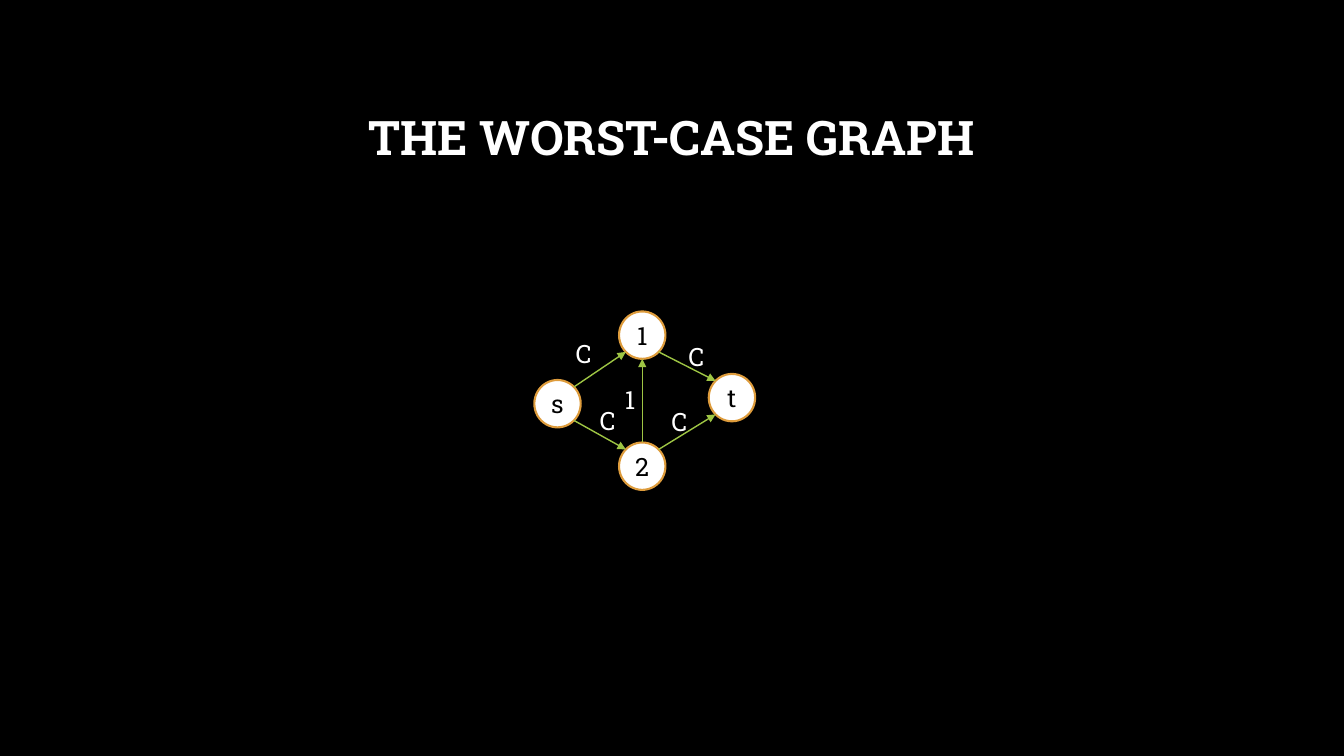
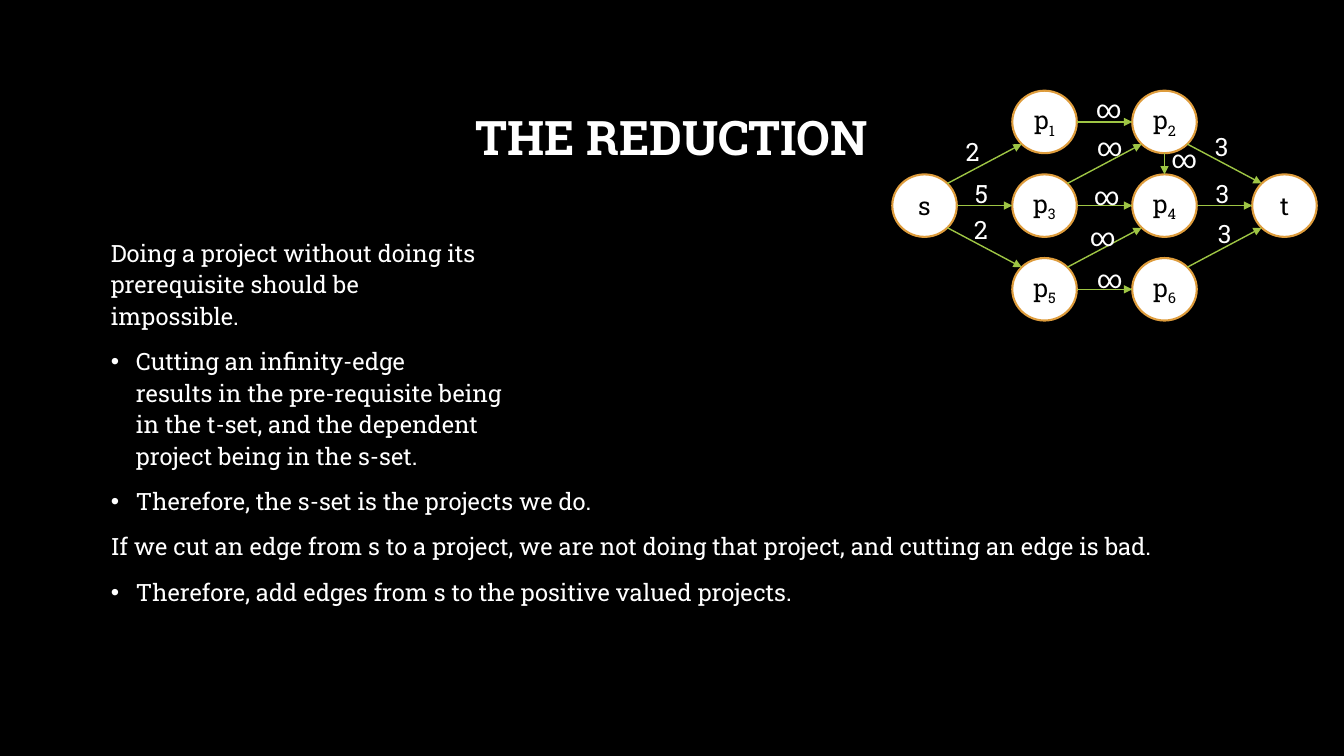
import math

from lxml import etree
from pptx import Presentation
from pptx import util as u
from pptx.dml.color import RGBColor
from pptx.enum import shapes, text
from pptx.oxml.ns import qn

EXITS = {(0, -1): 0, (1, 1): 5, (0, 1): 4, (1, 0): 6, (1, -1): 7}


def rgb(value):
    return RGBColor.from_string(value)


def sign(value):
    return (value > 0) - (value < 0)


class Deck:
    FONT = "Roboto Slab"
    BACK, LIGHT, DARK = "000000", "FFFFFF", "000000"
    RING, EDGE = "DE9C3C", "9EC544"

    def __init__(self):
        self.prs = Presentation()
        self.prs.slide_width = u.Inches(13.33)
        self.prs.slide_height = u.Inches(7.5)
        fill = self.prs.slide_master.background.fill
        fill.solid()
        fill.fore_color.rgb = rgb(self.BACK)

    def style(self, p, size, color, bold=False):
        for r in p.runs:
            r.font.name = self.FONT
            r.font.size = u.Pt(size)
            r.font.bold = bold
            r.font.color.rgb = rgb(color)

    def slide(self, title):
        self.s = self.prs.slides.add_slide(self.prs.slide_layouts[5])
        sp = self.s.shapes.title
        sp.left, sp.top = u.Inches(1), u.Inches(0.66)
        sp.width, sp.height = u.Inches(11.32), u.Inches(1.45)
        tf = sp.text_frame
        tf.text = title
        tf.vertical_anchor = text.MSO_ANCHOR.MIDDLE
        p = tf.paragraphs[0]
        p.alignment = text.PP_ALIGN.CENTER
        p.line_spacing = 0.9
        self.style(p, 34, self.LIGHT, bold=True)

    def body(self, items):
        sp = self.s.shapes.add_textbox(
            u.Inches(1), u.Inches(2.29), u.Inches(11.32), u.Inches(4.04))
        tf = sp.text_frame
        tf.word_wrap = True
        for i, (bullet, words) in enumerate(items):
            p = tf.add_paragraph() if i else tf.paragraphs[0]
            p.text = words
            p.line_spacing = 1.1
            p.space_before = u.Pt(10)
            self.style(p, 17, self.LIGHT)
            if bullet:
                pPr = p._p.get_or_add_pPr()
                pPr.set("marL", str(u.Inches(0.25)))
                pPr.set("indent", str(-u.Inches(0.25)))
                etree.SubElement(pPr, qn("a:buFont")).set("typeface", "Arial")
                etree.SubElement(pPr, qn("a:buChar")).set("char", "•")

    def node(self, name, x, y, w, h):
        sp = self.s.shapes.add_shape(
            shapes.MSO_SHAPE.OVAL, u.Inches(x), u.Inches(y), u.Inches(w), u.Inches(h))
        sp.shadow.inherit = False
        sp.fill.solid()
        sp.fill.fore_color.rgb = rgb(self.LIGHT)
        sp.line.color.rgb = rgb(self.RING)
        sp.line.width = u.Pt(1.5)
        tf = sp.text_frame
        tf.word_wrap = False
        tf.margin_left = tf.margin_right = tf.margin_top = tf.margin_bottom = 0
        tf.vertical_anchor = text.MSO_ANCHOR.MIDDLE
        p = tf.paragraphs[0]
        p.alignment = text.PP_ALIGN.CENTER
        for i, letter in enumerate(name):
            r = p.add_run()
            r.text = letter
            if i:
                r._r.get_or_add_rPr().set("baseline", "-25000")
        self.style(p, 18, self.DARK)
        return sp

    def site(self, sp, index):
        angle = math.radians(90 + 45 * index)
        return (round(sp.left + sp.width / 2 * (1 + math.cos(angle))),
                round(sp.top + sp.height / 2 * (1 - math.sin(angle))))

    def edge(self, start, end):
        leave = EXITS[sign(end.left - start.left), sign(end.top - start.top)]
        enter = (leave + 4) % 8
        line = self.s.shapes.add_connector(
            shapes.MSO_CONNECTOR.STRAIGHT, *self.site(start, leave), *self.site(end, enter))
        line.line.color.rgb = rgb(self.EDGE)
        line.line.width = u.Pt(1)
        spPr = line._element.spPr
        etree.SubElement(spPr.find(qn("a:ln")), qn("a:tailEnd")).set("type", "triangle")
        etree.SubElement(spPr, qn("a:effectLst"))
        joints = line._element.find(".//" + qn("p:cNvCxnSpPr"))
        for tag, sp, index in (("a:stCxn", start, leave), ("a:endCxn", end, enter)):
            joint = etree.SubElement(joints, qn(tag))
            joint.set("id", str(sp.shape_id))
            joint.set("idx", str(index))

    def label(self, words, x, y):
        width = 0.39 if words == "∞" else 0.34
        sp = self.s.shapes.add_textbox(
            u.Inches(x), u.Inches(y), u.Inches(width), u.Inches(0.4))
        tf = sp.text_frame
        tf.text = words
        tf.word_wrap = False
        tf.auto_size = text.MSO_AUTO_SIZE.SHAPE_TO_FIT_TEXT
        self.style(tf.paragraphs[0], 18, self.LIGHT)

    def graph(self, places, size, edges):
        nodes = {name: self.node(name, x, y, *size) for name, (x, y) in places.items()}
        for start, end, *_ in edges:
            self.edge(nodes[start], nodes[end])
        for _, _, words, x, y in edges:
            self.label(words, x, y)


def main():
    deck = Deck()

    deck.slide("THE WORST-CASE GRAPH")
    deck.graph(
        {"s": (5.3, 3.77), "1": (6.14, 3.09), "2": (6.14, 4.39), "t": (7.03, 3.71)},
        (0.46, 0.47),
        [("s", "1", "C", 5.61, 3.31),
         ("s", "2", "C", 5.85, 3.97),
         ("2", "t", "C", 6.56, 3.98),
         ("1", "t", "C", 6.73, 3.34),
         ("2", "1", "1", 6.1, 3.76)])

    deck.slide("THE REDUCTION")
    deck.body([
        (False, "Doing a project without doing its\nprerequisite should be\nimpossible."),
        (True, "Cutting an infinity-edge\nresults in the pre-requisite being\n"
               "in the t-set, and the dependent\nproject being in the s-set."),
        (True, "Therefore, the s-set is the projects we do."),
        (False, "If we cut an edge from s to a project, we are not doing that project, "
                "and cutting an edge is bad."),
        (True, "Therefore, add edges from s to the positive valued projects.")])
    cells = {"s": (0, 1), "p1": (1, 0), "p2": (2, 0), "p3": (1, 1),
             "p4": (2, 1), "p5": (1, 2), "p6": (2, 2), "t": (3, 1)}
    deck.graph(
        {name: (8.85 + 1.19 * col, 0.9 + 0.83 * row) for name, (col, row) in cells.items()},
        (0.64, 0.62),
        [("p1", "p2", "∞", 10.77, 0.88),
         ("p3", "p2", "∞", 10.78, 1.25),
         ("p3", "p4", "∞", 10.75, 1.74),
         ("p2", "p4", "∞", 11.52, 1.37),
         ("p5", "p4", "∞", 10.71, 2.15),
         ("p5", "p6", "∞", 10.78, 2.56),
         ("s", "p1", "2", 9.48, 1.3),
         ("s", "p3", "5", 9.57, 1.72),
         ("s", "p5", "2", 9.56, 2.08),
         ("p2", "t", "3", 11.95, 1.25),
         ("p4", "t", "3", 11.96, 1.72),
         ("p6", "t", "3", 11.98, 2.12)])

    deck.prs.save("out.pptx")


if __name__ == "__main__":
    main()
